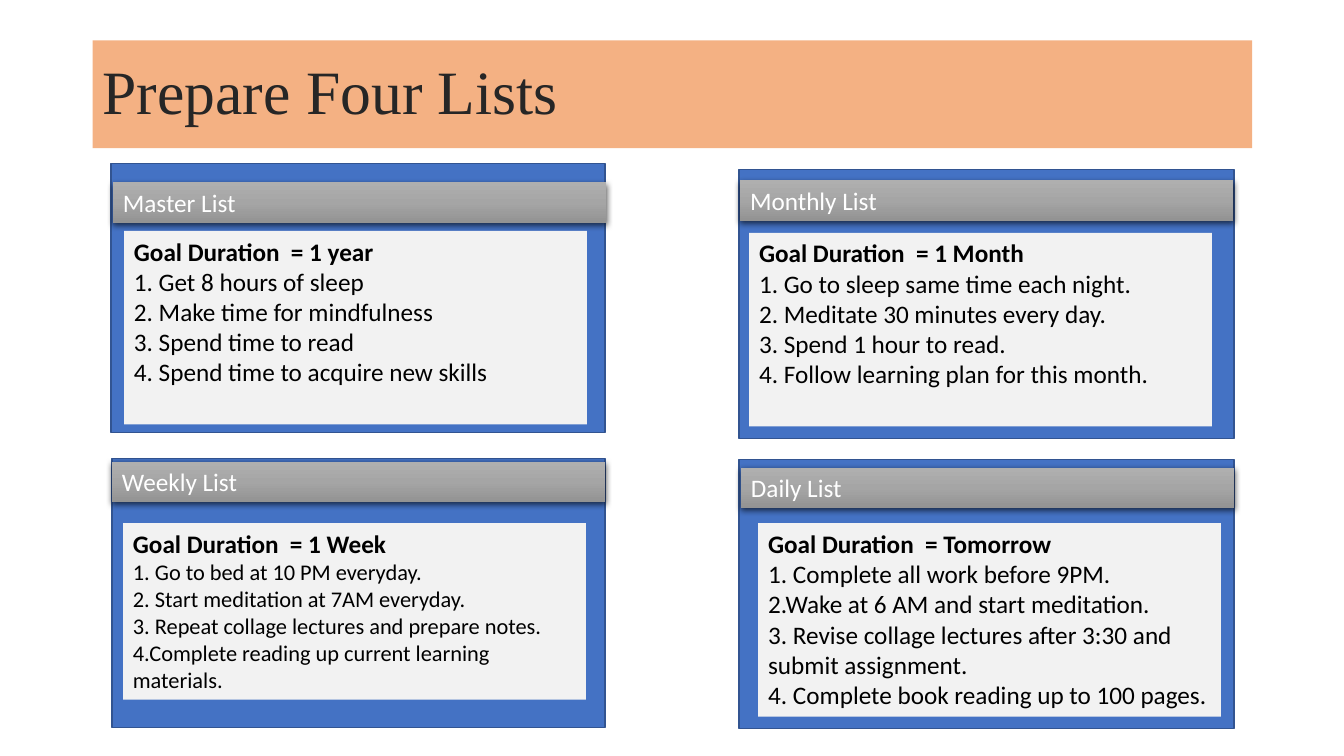
from copy import deepcopy
from dataclasses import dataclass

from lxml import etree
from pptx import Presentation
from pptx.dml.color import RGBColor
from pptx.enum.shapes import MSO_SHAPE
from pptx.enum.text import MSO_ANCHOR, MSO_AUTO_SIZE, PP_ALIGN
from pptx.oxml.ns import qn
from pptx.shapes.autoshape import Shape
from pptx.slide import Slide
from pptx.util import Inches, Pt

RECT = MSO_SHAPE.RECTANGLE
LEFT = PP_ALIGN.LEFT
TOP = MSO_ANCHOR.TOP
MIDDLE = MSO_ANCHOR.MIDDLE
GROW = MSO_AUTO_SIZE.SHAPE_TO_FIT_TEXT

BODY_FONT = "Calibri"
TITLE_FONT = "Times New Roman"
COLORS = {
    "panel": "4472C4",
    "edge": "325491",
    "note": "F2F2F2",
    "banner": "F4B183",
    "title": "262626",
    "ink": "000000",
    "white": "FFFFFF",
    "light": "AFAFAF",
    "mid": "A5A5A5",
    "dark": "939393",
}
PANEL_H = 2.67
HEAD_W, HEAD_H = 4.89, 0.4
NOTE_W = 4.59


@dataclass
class Card:
    """One list; panel is left, top, width, and head and note are left, top."""
    name: str
    span: str
    goals: list[str]
    panel: tuple[float, float, float]
    head: tuple[float, float]
    note: tuple[float, float]
    note_h: float = 1.92
    size: int = 18


CARDS = [
    Card("Master List", "1 year",
         ["1. Get 8 hours of sleep",
          "2. Make time for mindfulness",
          "3. Spend time to read",
          "4. Spend time to acquire new skills"],
         (1.1, 1.62, 4.9), (1.12, 1.81), (1.23, 2.29)),
    Card("Monthly List", "1 Month",
         ["1. Go to sleep same time each night.",
          "2. Meditate 30 minutes every day.",
          "3. Spend 1 hour to read.",
          "4. Follow learning plan for this month."],
         (7.33, 1.68, 4.91), (7.34, 1.79), (7.43, 2.31)),
    Card("Weekly List", "1 Week",
         ["1. Go to bed at 10 PM everyday.",
          "2. Start meditation at 7AM everyday.",
          "3. Repeat collage lectures and prepare notes.",
          "4.Complete reading up current learning materials."],
         (1.11, 4.55, 4.89), (1.11, 4.58), (1.22, 5.19), 1.75, 16),
    Card("Daily List", "Tomorrow",
         ["1. Complete all work before 9PM.",
          "2.Wake at 6 AM and start meditation.",
          "3. Revise collage lectures after 3:30 and submit assignment.",
          "4. Complete book reading up to 100 pages."],
         (7.33, 4.56, 4.91), (7.35, 4.64), (7.52, 5.19)),
]


def tint(name: str) -> RGBColor:
    return RGBColor.from_string(COLORS[name])


def add_box(slide: Slide, x: float, y: float, w: float, h: float,
            fill: str) -> Shape:
    box = slide.shapes.add_shape(RECT, Inches(x), Inches(y),
                                 Inches(w), Inches(h))
    box.shadow.inherit = False
    box.fill.solid()
    box.fill.fore_color.rgb = tint(fill)
    box.line.fill.background()
    return box


def set_text(box: Shape, lines: list[str], size: int, color: str,
             font: str = BODY_FONT, anchor: MSO_ANCHOR = TOP) -> None:
    frame = box.text_frame
    frame.text = "\n".join(lines)
    frame.word_wrap = True
    frame.vertical_anchor = anchor
    for para in frame.paragraphs:
        para.alignment = LEFT
        for run in para.runs:
            run.font.name = font
            run.font.size = Pt(size)
            run.font.color.rgb = tint(color)


def shade(box: Shape) -> None:
    """Give the box a three-stop grey gradient and a soft shadow below."""
    box.fill.gradient()
    box.fill.gradient_angle = 270
    stops = box.element.spPr.find(qn("a:gradFill")).find(qn("a:gsLst"))
    stops.append(deepcopy(stops[-1]))
    for i, name in enumerate(["light", "mid", "dark"]):
        stop = box.fill.gradient_stops[i]
        stop.position = i / 2
        stop.color.rgb = tint(name)

    effects = box.element.spPr.find(qn("a:effectLst"))
    shadow = etree.SubElement(effects, qn("a:outerShdw"), blurRad=str(Pt(4.5)),
                              dist=str(Pt(1.5)), dir="5400000",
                              algn="ctr", rotWithShape="0")
    color = etree.SubElement(shadow, qn("a:srgbClr"), val=COLORS["ink"])
    etree.SubElement(color, qn("a:alpha"), val="63000")


def add_panel(slide: Slide, card: Card) -> None:
    panel = add_box(slide, *card.panel, PANEL_H, "panel")
    panel.line.color.rgb = tint("edge")
    panel.line.width = Pt(1)


def add_list(slide: Slide, card: Card) -> None:
    head = add_box(slide, *card.head, HEAD_W, HEAD_H, "mid")
    shade(head)
    set_text(head, [card.name], 18, "white")

    note = add_box(slide, *card.note, NOTE_W, card.note_h, "note")
    set_text(note, [f"Goal Duration  = {card.span}", *card.goals],
             card.size, "ink")
    first = note.text_frame.paragraphs[0].runs[0].font
    first.size = Pt(18)
    first.bold = True

    for box in (head, note):
        box.text_frame.auto_size = GROW


def add_title(slide: Slide) -> None:
    banner = add_box(slide, 0.92, 0.4, 11.5, 1.07, "banner")
    set_text(banner, ["Prepare Four Lists"], 44, "title", TITLE_FONT, MIDDLE)
    banner.text_frame.paragraphs[0].line_spacing = 0.9


def main() -> None:
    deck = Presentation()
    deck.slide_width = Inches(13.33)
    deck.slide_height = Inches(7.5)
    slide = deck.slides.add_slide(deck.slide_layouts[6])
    for card in CARDS:
        add_panel(slide, card)
        add_list(slide, card)
    add_title(slide)
    deck.save("out.pptx")


if __name__ == "__main__":
    main()
